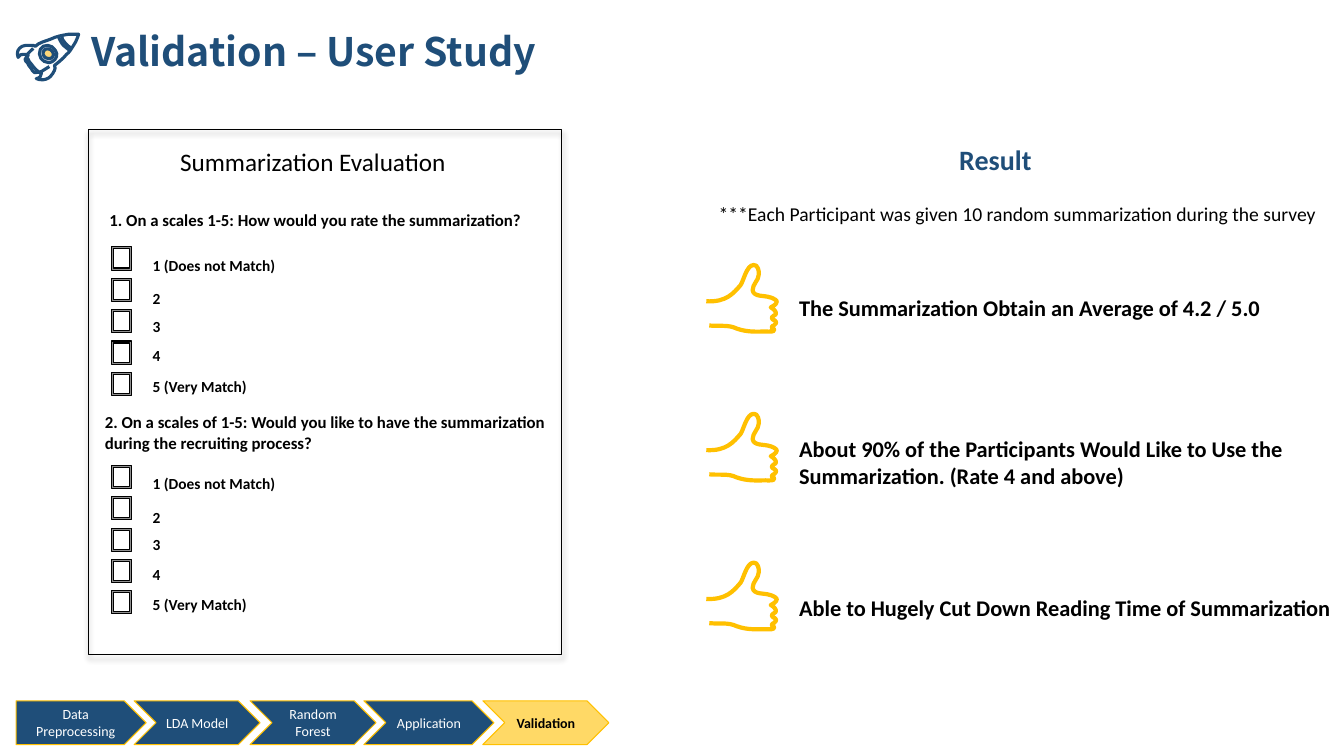
from lxml import etree
from pptx import Presentation, util as u
from pptx.dml import color
from pptx.enum import shapes, text
from pptx.oxml import ns

COLORS = {"navy": "1F4E79", "gold": "FFC000", "pale_gold": "FFD966", "lens": "FDD67A",
          "rim": "E7E4EA", "black": "000000", "white": "FFFFFF"}
CALIBRI = "Calibri"
HUNDREDTH_INCH = 0.72
THUMB = """0,36 20,37 27,28 34,20 37,16 40,0 47,0 51,-1 53,7 52,10 52,15 46,19 46,25
47,32 58,30 63,32 64,32 69,34 70,36 70,39 66,41 64,42 66,43 70,46 69,49 68,50 65,51 65,52
64,54 67,54 68,55 69,56 70,57 69,58 68,59 68,59 67,60 66,60 65,61 65,62 65,63 66,63 67,63
70,67 61,66 59,66 51,66 41,67 30,63 22,59 13,61 3,60"""
PORTHOLE = """36,27 40,25 42,20 39,16 36,10 27,9 24,15 21,21 26,28 32,28 33,28 35,28 36,27"""
LENS = """34,24 37,23 38,20 36,17 34,14 29,13 27,17 26,20 28,24 32,24 33,24 34,24 34,24"""
HULL = """15,11 17,11 18,11 19,12 23,8 29,7 34,5 40,2 46,1 52,0 55,0 59,0 62,0
62,0 60,7 57,11 55,14 53,18 50,20 48,22 46,25 43,27 43,27 38,31 38,31 39,32 39,35 38,36
37,38 36,40 34,42 32,44 28,46 23,45 22,45 21,45 20,44 22,44 23,43 24,42 25,41 25,40 25,39
25,39 25,37 25,37 23,38 21,38 18,38 17,37 15,35 15,34 13,32 12,30 11,28 10,28 9,26 9,25
9,24 12,21 12,21 11,20 9,20 7,20 6,20 3,20 2,23 0,18 2,14 6,12 8,11 10,11 13,11
13,11 14,11 15,11"""
SEAMS = ["45,1 45,4 47,7 49,9 51,11 53,13 55,14",
         "42,2 43,5 45,9 47,11 48,12 52,15 53,16",
         "11,20 13,18 15,16 17,14",
         "25,37 28,35 30,34 33,32",
         "10,22 12,23 12,26 13,27 15,29 16,31 17,32 19,34 20,36 22,37"]


def rgb(name):
    """Return the named colour."""
    return color.RGBColor.from_string(COLORS[name])


def finish(shape, fill, line, width):
    """Set fill and line, and drop the theme shadow."""
    shape.shadow.inherit = False
    if fill:
        shape.fill.solid()
        shape.fill.fore_color.rgb = rgb(fill)
    else:
        shape.fill.background()
    shape.line.color.rgb = rgb(line)
    shape.line.width = u.Pt(width)
    return shape


def add_alpha(color_element, percent):
    """Make a colour element partly transparent."""
    etree.SubElement(color_element, ns.qn("a:alpha"), val=str(percent * 1000))


def preset(slide, kind, box, fill, line="black"):
    """Add a preset shape with a thin outline."""
    return finish(slide.shapes.add_shape(kind, *map(u.Pt, box)), fill, line, 0.75)


def write(frame, lines, size, ink="black", bold=False, font=CALIBRI, align=None):
    """Fill a text frame with one paragraph for each line."""
    frame.word_wrap = True
    frame.text = "\n".join(lines)
    for paragraph in frame.paragraphs:
        paragraph.alignment = align
        paragraph.font.size = u.Pt(size)
        paragraph.font.name = font
        paragraph.font.bold = bold
        paragraph.font.color.rgb = rgb(ink)


def label(slide, box, lines, size, **style):
    """Add a text box."""
    write(slide.shapes.add_textbox(*map(u.Pt, box)).text_frame, lines, size, **style)


def curve(holder, left, top, outline, line, width, fill=None, closed=False):
    """Draw a chain of Bezier curves given in hundredths of an inch."""
    knots = [tuple(map(int, pair.split(","))) for pair in outline.split()]
    placed = [(u.Pt(left + x * HUNDREDTH_INCH), u.Pt(top + y * HUNDREDTH_INCH))
              for x, y in knots]
    builder = holder.shapes.build_freeform(*placed[0])
    builder.add_line_segments(placed[1:], close=False)
    shape = finish(builder.convert_to_shape(), fill, line, width)
    segments = list(shape._element.iter(ns.qn("a:lnTo")))
    track = segments[0].getparent()
    for i in range(0, len(segments), 3):
        bezier = etree.SubElement(track, ns.qn("a:cubicBezTo"))
        for segment in segments[i:i + 3]:
            bezier.append(segment[0])
            track.remove(segment)
    if closed:
        etree.SubElement(track, ns.qn("a:close"))


def header(slide, left, top):
    """Place the rocket and the slide title."""
    rocket = slide.shapes.add_group_shape()
    for outline, fill in ((PORTHOLE, "rim"), (LENS, "lens"), (HULL, None)):
        curve(rocket, left, top + 8, outline, "navy", 2.25, fill, True)
    for seam in SEAMS:
        curve(rocket, left, top + 8, seam, "navy", 2.25)
    title = slide.shapes.title
    title.left, title.top, title.width, title.height = map(
        u.Pt, (left + 46.6, top - 0.3, 579, 41))
    write(title.text_frame, ["Validation – User Study"], 28, ink="navy", bold=True,
          font="Noto Sans CJK JP", align=text.PP_ALIGN.LEFT)
    title.text_frame.vertical_anchor = text.MSO_ANCHOR.TOP
    title.text_frame.auto_size = text.MSO_AUTO_SIZE.NONE


def rating(slide, left, top):
    """Place five checkboxes with their answers."""
    answers = {"1 (Does not Match)": 0, "2": 24, "3": 43.4, "4": 64.6, "5 (Very Match)": 86.4}
    for row, (answer, drop) in enumerate(answers.items()):
        checkbox = preset(slide, shapes.MSO_SHAPE.FRAME,
                          (left, top + row * 22.4, 14.4, 16.5), "black")
        checkbox.adjustments[0] = 0.1
        add_alpha(checkbox.fill._xPr.find(ns.qn("a:solidFill"))[0], 44)
        label(slide, (left + 22.3, top + 2.8 + drop, 181.4, 20.9), [answer], 11, bold=True)


def questionnaire(slide, left, top, width, height):
    """Place the evaluation form with its two questions."""
    card = preset(slide, shapes.MSO_SHAPE.RECTANGLE, (left, top, width, height), None)
    effects = card._element.spPr.find(ns.qn("a:effectLst"))
    shadow = etree.SubElement(effects, ns.qn("a:outerShdw"), blurRad=str(u.Pt(4)),
                              dist=str(u.Pt(3)), dir="5400000", rotWithShape="0")
    add_alpha(etree.SubElement(shadow, ns.qn("a:srgbClr"), val=COLORS["black"]), 40)
    label(slide, (left + 58.3, top + 8.6, 252.7, 28.8), ["Summarization Evaluation"], 18)
    questions = [
        (7.9, 54.2, 36, 84.2,
         ["1. On a scales 1-5: How would you rate the summarization?"]),
        (4.6, 198.7, 51.1, 240.2,
         ["2. On a scales of 1-5: Would you like to have the summarization",
          "during the recruiting process?"])]
    for indent, question_top, question_height, rating_top, lines in questions:
        label(slide, (left + indent, top + question_top, 463.7, question_height),
              lines, 12, bold=True)
        rating(slide, left + 16.4, top + rating_top)


def results(slide, left, top):
    """Place the result heading, the note and the three findings."""
    findings = [
        (108, 26.6, "The Summarization Obtain an Average of 4.2 / 5.0"),
        (208.6, 46.1, "About 90% of the Participants Would Like to Use the "
                      "Summarization. (Rate 4 and above)"),
        (322.2, 26.6, "Able to Hugely Cut Down Reading Time of Summarization")]
    for row in range(len(findings)):
        curve(slide, left, top + 90.7 + row * 106.3, THUMB, "gold", 3)
    label(slide, (left + 1.7, top + 42.1, 453.6, 24.5),
          ["***Each Participant was given 10 random summarization during the survey"], 14)
    label(slide, (left + 173.6, top, 74.2, 31.7), ["Result"], 20, ink="navy", bold=True)
    for drop, height, finding in findings:
        label(slide, (left + 59.2, top + drop, 416.9, height), [finding], 16, bold=True)


def progress(slide, left, top, height):
    """Place the chain of project steps, with the current one marked."""
    steps = [("Data Preprocessing", 0, 92.9), ("LDA Model", 84.3, 90),
             ("Random Forest", 167.1, 90), ("Application", 248.4, 92.9),
             ("Validation", 333.4, 90)]
    for step, offset, width in steps:
        kind = shapes.MSO_SHAPE.CHEVRON if offset else shapes.MSO_SHAPE.PENTAGON
        current = step == "Validation"
        arrow = preset(slide, kind, (left + offset, top, width, height),
                       "pale_gold" if current else "navy", "gold")
        write(arrow.text_frame, [step], 10, ink="black" if current else "white",
              bold=current, align=text.PP_ALIGN.CENTER)
        arrow.text_frame.vertical_anchor = text.MSO_ANCHOR.MIDDLE


def main():
    """Build and save the slide."""
    deck = Presentation()
    deck.slide_width, deck.slide_height = u.Pt(960), u.Pt(540)
    slide = deck.slides.add_slide(deck.slide_layouts[5])
    progress(slide, 11.5, 500.6, 31.3)
    header(slide, 11.5, 16.5)
    questionnaire(slide, 63.2, 92.2, 338.2, 375.1)
    results(slide, 504.5, 98.6)
    deck.save("out.pptx")


main()
